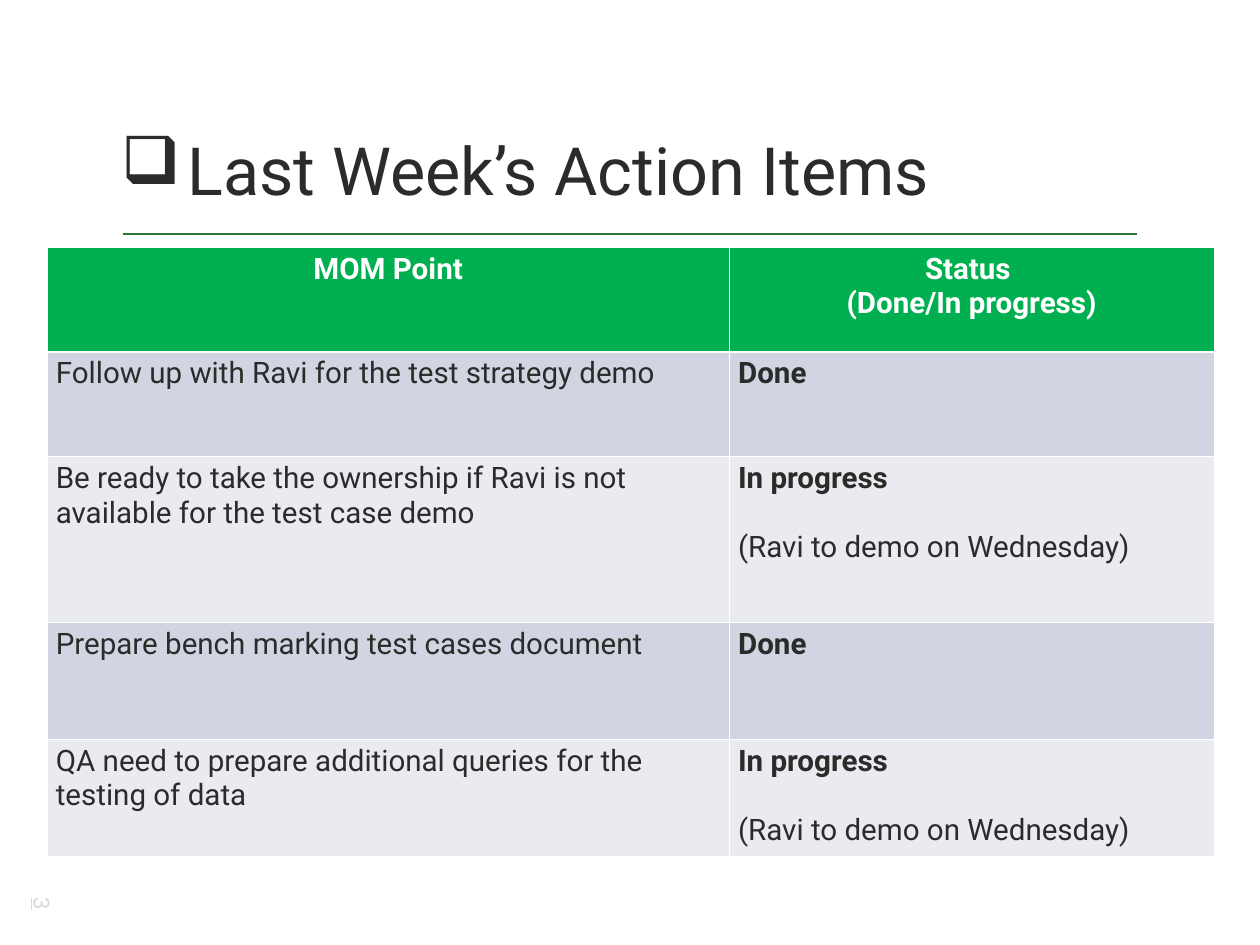
import pptx
import pptx.util
import pptx.dml.color
import pptx.enum.shapes
import pptx.enum.text
import pptx.oxml
import pptx.oxml.ns

Inches = pptx.util.Inches
Pt = pptx.util.Pt
ALIGN = pptx.enum.text.PP_ALIGN
ANCHOR = pptx.enum.text.MSO_ANCHOR
INK = "2B2C2A"
WHITE = "FFFFFF"
GREEN = "00B050"
BANDS = ["D0D5E1", "E9EBF1"]
WIDTHS = [7.7, 5.47]
HEIGHTS = [1.18, 1.18, 1.87, 1.32, 1.32]
BUSY = ["In progress", "(Ravi to demo on Wednesday)"]
ROWS = [
    (["MOM Point"], ["Status ", "(Done/In progress)"]),
    (["Follow up with Ravi for the test strategy demo"], ["Done"]),
    (["Be ready to take the ownership if Ravi is not available for the test case demo"], BUSY),
    (["Prepare bench marking test cases document"], ["Done"]),
    (["QA need to prepare additional queries for the testing of data"], BUSY),
]


def rgb(code):
    return pptx.dml.color.RGBColor.from_string(code)


def style(item, **form):
    for name, value in form.items():
        setattr(item, name, value)


def add_xml(parent, body):
    space = pptx.oxml.ns.nsdecls("a")
    for node in pptx.oxml.parse_xml(f"<a:group {space}>{body}</a:group>"):
        parent.append(node)


def write(para, text, size, color, **form):
    run = para.add_run()
    run.text = text
    style(run.font, name="Roboto", size=Pt(size), **form)
    run.font.color.rgb = rgb(color)


def add_text(slide, box, inset, **form):
    shape = slide.shapes.add_textbox(*map(Inches, box))
    frame = shape.text_frame
    sides, ends = map(Inches, inset)
    style(frame, margin_left=sides, margin_right=sides,
          margin_top=ends, margin_bottom=ends, **form)
    return shape, frame.paragraphs[0]


def add_title(slide, box):
    left, top, width, height = box
    rule = slide.shapes.add_connector(
        pptx.enum.shapes.MSO_CONNECTOR.STRAIGHT,
        Inches(left + 0.08), Inches(top + 1.31),
        Inches(left + width + 0.08), Inches(top + 1.31))
    rule.line.color.rgb = rgb("2C7832")
    rule.line.width = Pt(2)
    add_xml(rule._element.spPr, "<a:effectLst/>")
    shape, para = add_text(slide, box, (0.06, 0.06), word_wrap=True,
                           vertical_anchor=ANCHOR.BOTTOM)
    props = para._p.get_or_add_pPr()
    props.set("marL", str(Inches(0.75)))
    props.set("indent", str(Inches(-0.75)))
    add_xml(props, f'<a:buClr><a:srgbClr val="{INK}"/></a:buClr><a:buChar char="❑"/>')
    write(para, "Last Week’s Action Items", 54, INK)


def add_edges(cell, edges):
    for side, width in edges.items():
        add_xml(cell._tc.get_or_add_tcPr(),
                f'<a:ln{side} w="{Pt(width)}"><a:solidFill>'
                f'<a:srgbClr val="{WHITE}"/></a:solidFill></a:ln{side}>')


def fill_cell(cell, lines, row, col):
    head = row == 0
    add_edges(cell, {"L": 0.45, "R": 0.45,
                     "T": 1.47 if row == 1 else 0.45,
                     "B": 1.47 if head else 0.45})
    cell.fill.solid()
    cell.fill.fore_color.rgb = rgb(GREEN if head else BANDS[(row - 1) % 2])
    frame = cell.text_frame
    for num, text in enumerate(lines):
        para = frame.add_paragraph() if num else frame.paragraphs[0]
        para.alignment = ALIGN.CENTER if head else ALIGN.LEFT
        if num and not head:
            para.space_before = Pt(28)
        write(para, text, 24, WHITE if head else INK,
              bold=head or (col == 1 and num == 0))


def add_items(slide, box):
    table = slide.shapes.add_table(len(ROWS), len(WIDTHS), *map(Inches, box)).table
    style(table, first_row=False, horz_banding=False)
    for col, width in zip(table.columns, WIDTHS):
        col.width = Inches(width)
    for row, height in zip(table.rows, HEIGHTS):
        row.height = Inches(height)
    for row, cells in enumerate(ROWS):
        for col, lines in enumerate(cells):
            fill_cell(table.cell(row, col), lines, row, col)


def add_number(slide, box):
    shape, para = add_text(slide, box, (0.1, 0.05), word_wrap=False)
    shape.rotation = 90
    para.alignment = ALIGN.CENTER
    write(para, "3", 18, "DAD8D3", underline=True)


def main():
    deck = pptx.Presentation()
    style(deck, slide_width=Inches(14.22), slide_height=Inches(10.66))
    slide = deck.slides.add_slide(deck.slide_layouts[6])
    add_items(slide, (0.53, 2.79, sum(WIDTHS), sum(HEIGHTS)))
    add_title(slide, (1.31, 1.33, 11.44, 1.08))
    add_number(slide, (0.28, 10, 0.41, 0.39))
    deck.save("out.pptx")


if __name__ == "__main__":
    main()
